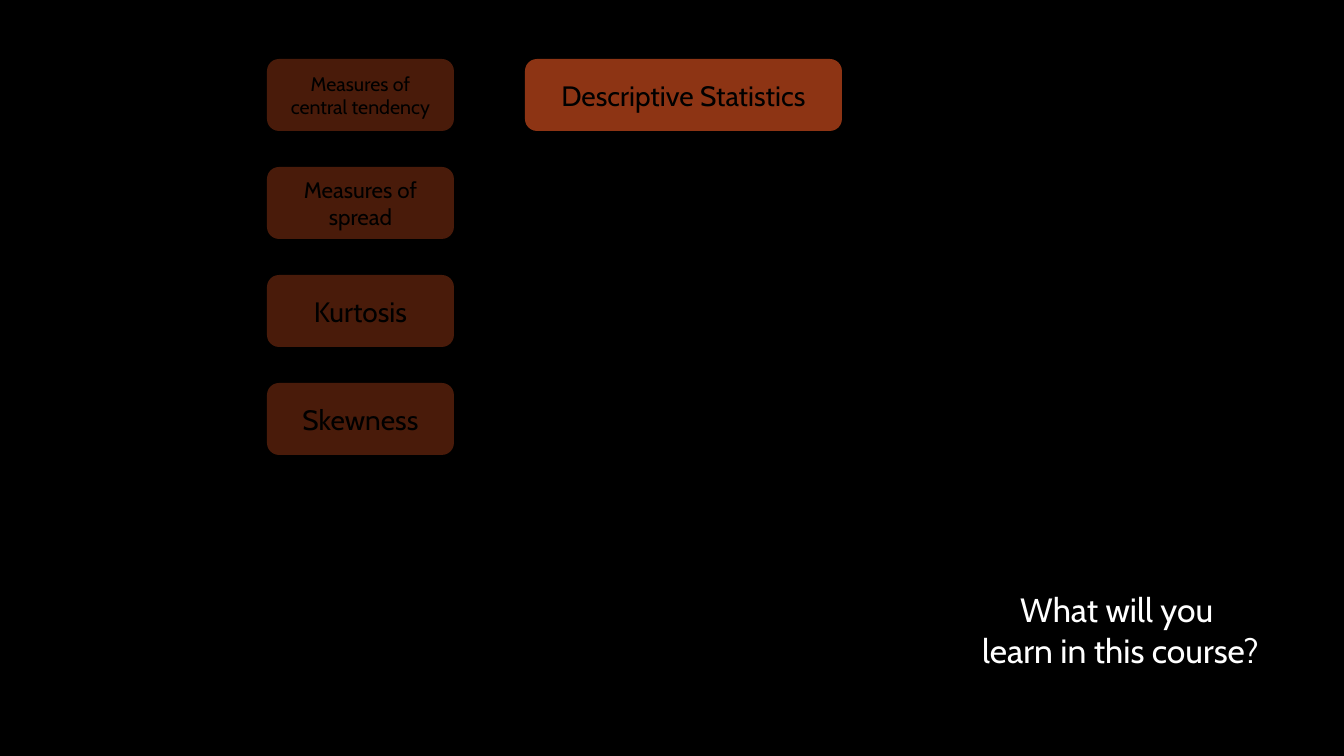
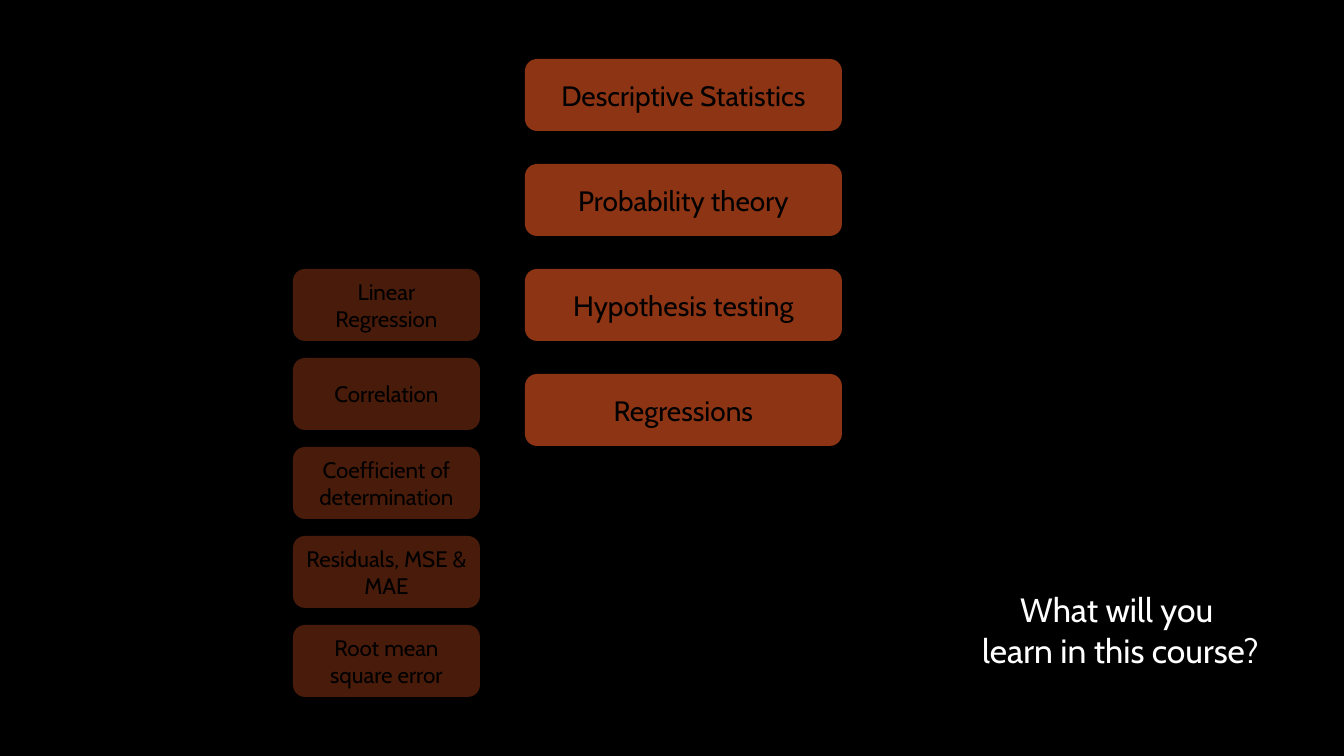
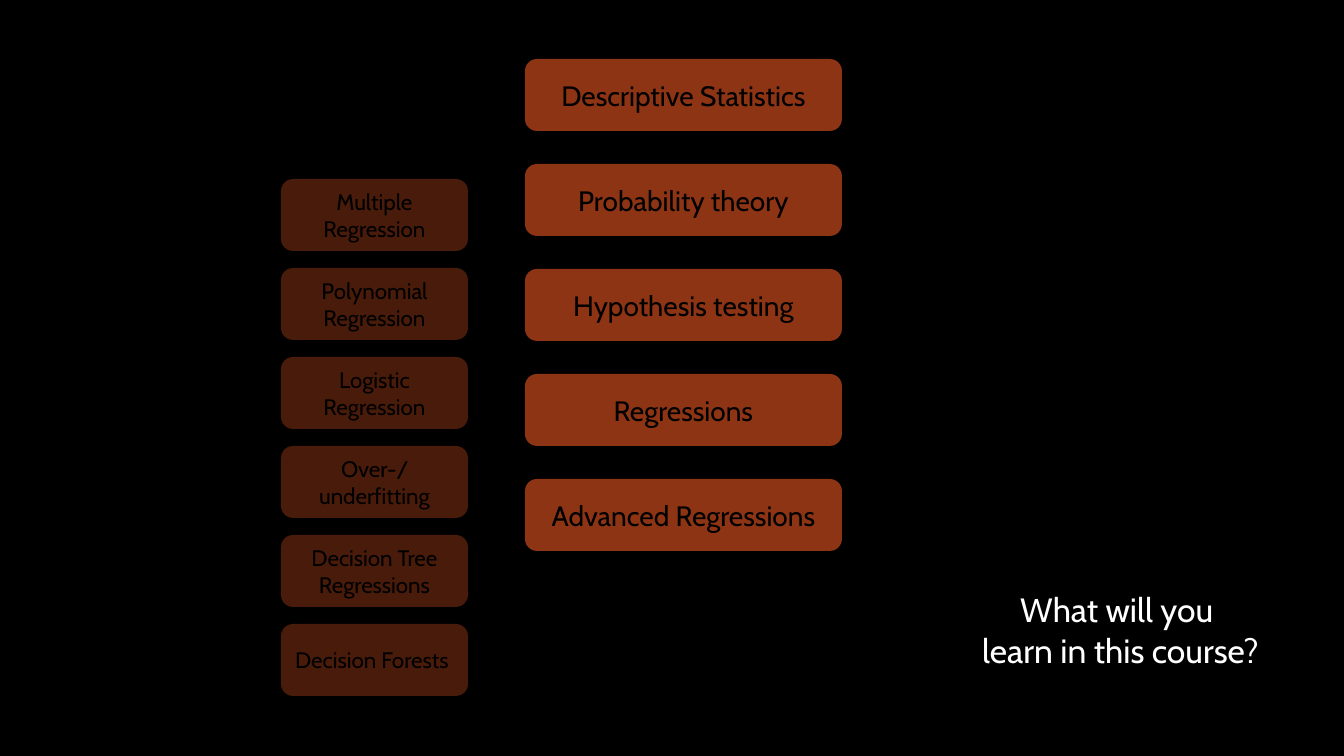
from lxml.etree import SubElement
from pptx import Presentation
from pptx.dml.color import RGBColor
from pptx.enum.shapes import MSO_SHAPE as Shape
from pptx.enum.text import MSO_ANCHOR as Anchor, MSO_AUTO_SIZE as AutoSize, PP_ALIGN as Align
from pptx.oxml.ns import qn
from pptx.util import Pt

SCALE = 12192000 / 1344
COLOURS = {"black": "000000", "white": "FFFFFF", "rust": "8D3414"}
FONT = "Cabin"
TITLE_ONLY = 5
DETAIL_OPACITY = 52
BOX_HEIGHT = 72
TOPIC_BOX = (525, 59, 317, BOX_HEIGHT)
TOPIC_STEP = 105
DETAIL_WIDTH = 187
TITLE_BOX = (958, 584, 325, 91)
TITLE_LINES = ["What will you ", "learn in this course?"]

TOPICS = [
    "Descriptive Statistics",
    "Probability theory",
    "Hypothesis testing",
    "Regressions",
    "Advanced Regressions",
]
SLIDES = [
    {
        "topic_count": 1, "corner": (267, 59), "step": 108,
        "details": [
            ("Measures of central tendency", 14),
            ("Measures of spread", 16),
            ("Kurtosis", 20),
            ("Skewness", 20),
        ],
    },
    {
        "topic_count": 4, "corner": (293, 269), "step": 89,
        "details": [
            ("Linear Regression", 16),
            ("Correlation", 16),
            ("Coefficient of determination", 16),
            ("Residuals, MSE & MAE", 16),
            ("Root mean square error", 16),
        ],
    },
    {
        "topic_count": 5, "corner": (281, 179), "step": 89,
        "details": [
            ("Multiple Regression", 16),
            ("Polynomial Regression", 16),
            ("Logistic Regression", 16),
            ("Over-/underfitting", 16),
            ("Decision Tree Regressions", 16),
            ("Decision Forests ", 16),
        ],
    },
]


def px(length):
    """Turn pixels into EMU."""
    return round(length * SCALE)


def colour(name):
    """Look up a palette colour."""
    return RGBColor.from_string(COLOURS[name])


def write_lines(shape, lines, size, colour_name):
    """Fill a shape with centred paragraphs."""
    frame = shape.text_frame
    frame.text = "\n".join(lines)
    frame.word_wrap = True
    frame.auto_size = AutoSize.NONE
    frame.vertical_anchor = Anchor.MIDDLE
    for para in frame.paragraphs:
        para.alignment = Align.CENTER
        para.font.name = FONT
        para.font.size = Pt(size)
        para.font.color.rgb = colour(colour_name)


def add_title(page):
    """Place the course question in the title placeholder."""
    title = page.shapes.title
    title.left, title.top, title.width, title.height = map(px, TITLE_BOX)
    write_lines(title, TITLE_LINES, 24, "white")


def add_card(page, box, text, size, opacity=100):
    """Draw one rounded rust card."""
    card = page.shapes.add_shape(Shape.ROUNDED_RECTANGLE, *map(px, box))
    card.shadow.inherit = False
    card.line.fill.background()
    card.fill.solid()
    card.fill.fore_color.rgb = colour("rust")
    if opacity < 100:
        fill_colour = card.element.spPr.find(qn("a:solidFill"))[0]
        SubElement(fill_colour, qn("a:alpha")).set("val", str(opacity * 1000))
    write_lines(card, [text], size, "black")


def add_column(page, box, step, entries, opacity=100):
    """Stack cards downwards from the first card's box."""
    left, top, width, height = box
    for row, (text, size) in enumerate(entries):
        add_card(page, (left, top + row * step, width, height), text, size, opacity)


def add_course_slide(deck, topic_count, corner, step, details):
    """Build a slide of topics with the details of the latest one."""
    page = deck.slides.add_slide(deck.slide_layouts[TITLE_ONLY])
    add_title(page)
    topics = [(topic, 20) for topic in TOPICS[:topic_count]]
    add_column(page, TOPIC_BOX, TOPIC_STEP, topics)
    detail_box = (*corner, DETAIL_WIDTH, BOX_HEIGHT)
    add_column(page, detail_box, step, details, DETAIL_OPACITY)


def main():
    """Build and save the deck."""
    deck = Presentation()
    deck.slide_width, deck.slide_height = px(1344), px(756)
    backdrop = deck.slide_master.background.fill
    backdrop.solid()
    backdrop.fore_color.rgb = colour("black")
    for content in SLIDES:
        add_course_slide(deck, **content)
    deck.save("out.pptx")


if __name__ == "__main__":
    main()
